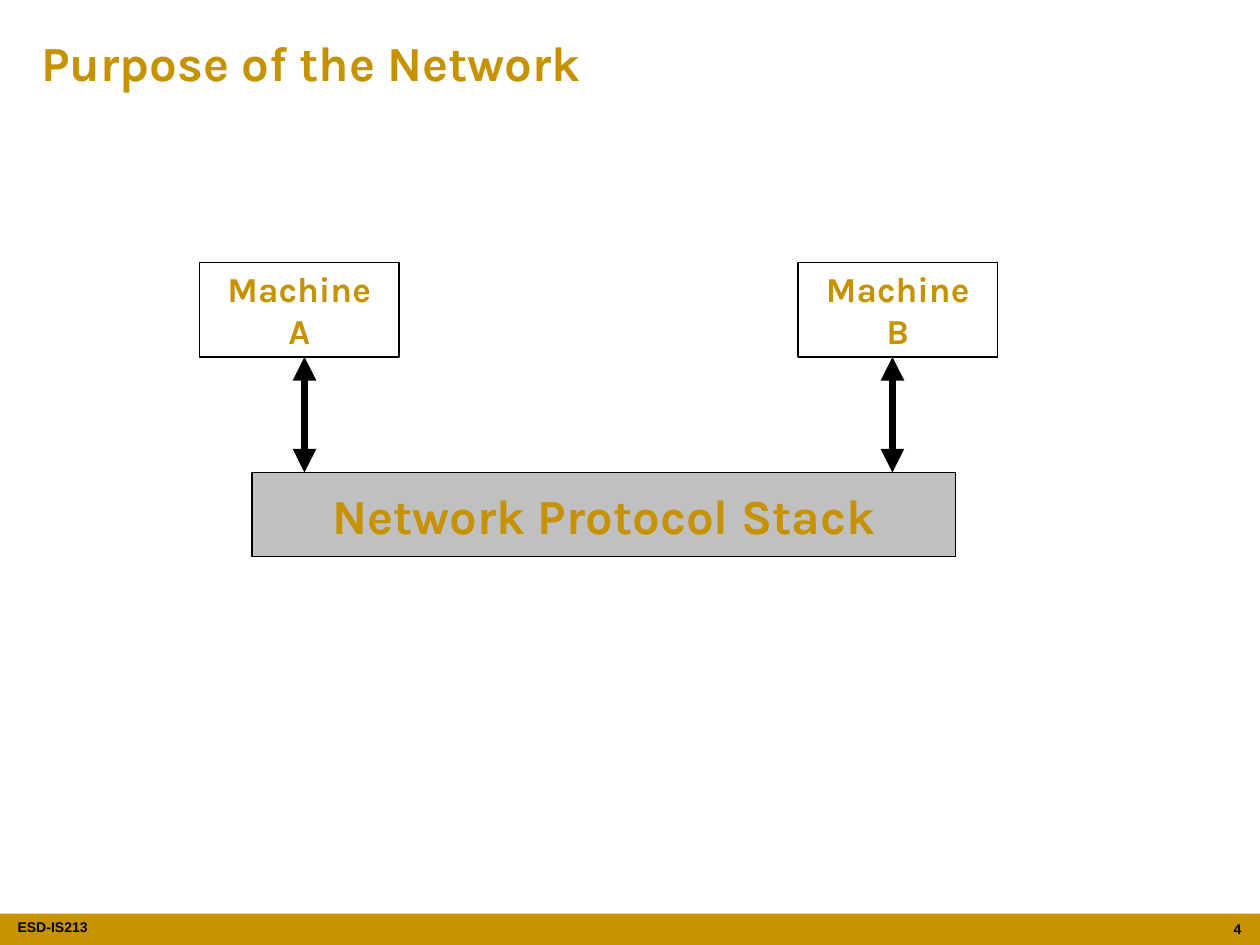
from dataclasses import dataclass

from lxml.etree import SubElement
from pptx import Presentation
from pptx.dml.color import RGBColor
from pptx.enum.shapes import MSO_CONNECTOR as Connector, MSO_SHAPE as Preset
from pptx.enum.text import MSO_ANCHOR as Anchor, MSO_AUTO_SIZE as AutoSize, PP_ALIGN as Align
from pptx.oxml.ns import qn
from pptx.slide import Slide
from pptx.text.text import TextFrame
from pptx.util import Pt


@dataclass(frozen=True)
class Theme:
    gold: RGBColor = RGBColor(0xC6, 0x92, 0x00)
    black: RGBColor = RGBColor(0, 0, 0)
    gray: RGBColor = RGBColor(0xC0, 0xC0, 0xC0)
    body_font: str = "Karla"
    footer_font: str = "Arial"
    heading_size: float = 28
    machine_size: float = 20
    footer_size: float = 8
    outline: float = 0.75
    arrow: float = 4.5


@dataclass(frozen=True)
class Area:
    left: float
    top: float
    width: float
    height: float

    @property
    def bottom(self) -> float:
        return self.top + self.height

    def lengths(self) -> tuple[Pt, ...]:
        return Pt(self.left), Pt(self.top), Pt(self.width), Pt(self.height)


@dataclass(frozen=True)
class Block:
    area: Area
    lines: tuple[str, ...] = ()
    size: float = 0
    fill: RGBColor | None = None
    outlined: bool = True


@dataclass(frozen=True)
class FooterText:
    area: Area
    text: str
    align: Align
    side_inset: float


THEME = Theme()
MACHINE_A = Area(114, 150, 114, 54)
MACHINE_B = Area(456, 150, 114, 54)
STACK = Area(144, 270, 402, 48)
ARROW_INSET = 30
ARROW_SPAN = 336

BLOCKS = (
    Block(Area(0, 522, 720, 18), fill=THEME.gold, outlined=False),
    Block(MACHINE_A, ("Machine", "A"), THEME.machine_size),
    Block(MACHINE_B, ("Machine", "B"), THEME.machine_size),
    Block(STACK, ("Network Protocol Stack",), THEME.heading_size, THEME.gray),
)
FOOTER = (
    FooterText(Area(10, 521.5, 93, 18), "ESD-IS213", Align.LEFT, 0),
    FooterText(Area(688.5, 522.5, 28, 17.5), "4", Align.RIGHT, 7.2),
)


def write_lines(frame: TextFrame, lines: tuple[str, ...], size: float,
                color: RGBColor, font: str, align: Align) -> None:
    for index, line in enumerate(lines):
        para = frame.add_paragraph() if index else frame.paragraphs[0]
        para.alignment = align
        span = para.add_run()
        span.text = line
        span.font.name = font
        span.font.size = Pt(size)
        span.font.bold = True
        span.font.color.rgb = color


def draw_title(page: Slide, text: str) -> None:
    title = page.shapes.title
    title.left, title.top, title.width, title.height = Area(16.5, 15, 687, 41).lengths()
    frame = title.text_frame
    frame.vertical_anchor = Anchor.MIDDLE
    frame.auto_size = AutoSize.SHAPE_TO_FIT_TEXT
    write_lines(frame, (text,), THEME.heading_size, THEME.gold, THEME.body_font, Align.LEFT)


def draw_block(page: Slide, block: Block) -> None:
    box = page.shapes.add_shape(Preset.RECTANGLE, *block.area.lengths())
    box.shadow.inherit = False
    if block.fill is None:
        box.fill.background()
    else:
        box.fill.solid()
        box.fill.fore_color.rgb = block.fill
    if block.outlined:
        box.line.color.rgb = THEME.black
        box.line.width = Pt(THEME.outline)
    else:
        box.line.fill.background()
    frame = box.text_frame
    frame.word_wrap = False
    frame.vertical_anchor = Anchor.MIDDLE
    write_lines(frame, block.lines, block.size, THEME.gold, THEME.body_font, Align.CENTER)


def draw_footer(page: Slide, footer: FooterText) -> None:
    box = page.shapes.add_textbox(*footer.area.lengths())
    frame = box.text_frame
    frame.word_wrap = True
    frame.margin_left = frame.margin_right = Pt(footer.side_inset)
    write_lines(frame, (footer.text,), THEME.footer_size, THEME.black,
                THEME.footer_font, footer.align)


def draw_double_arrow(page: Slide, x: float, top: float, bottom: float) -> None:
    arrow = page.shapes.add_connector(Connector.STRAIGHT, Pt(x), Pt(top), Pt(x), Pt(bottom))
    arrow.line.color.rgb = THEME.black
    arrow.line.width = Pt(THEME.arrow)
    outline = arrow.line._get_or_add_ln()
    for end in ("a:headEnd", "a:tailEnd"):
        SubElement(outline, qn(end), type="triangle")
    SubElement(arrow._element.spPr, qn("a:effectLst"))


def main() -> None:
    deck = Presentation()
    deck.slide_width, deck.slide_height = Pt(720), Pt(540)
    page = deck.slides.add_slide(deck.slide_layouts[5])
    draw_title(page, "Purpose of the Network")
    for block in BLOCKS:
        draw_block(page, block)
    for footer in FOOTER:
        draw_footer(page, footer)
    first_arrow = STACK.left + ARROW_INSET
    for x in (first_arrow, first_arrow + ARROW_SPAN):
        draw_double_arrow(page, x, MACHINE_A.bottom, STACK.top)
    deck.save("out.pptx")


if __name__ == "__main__":
    main()
